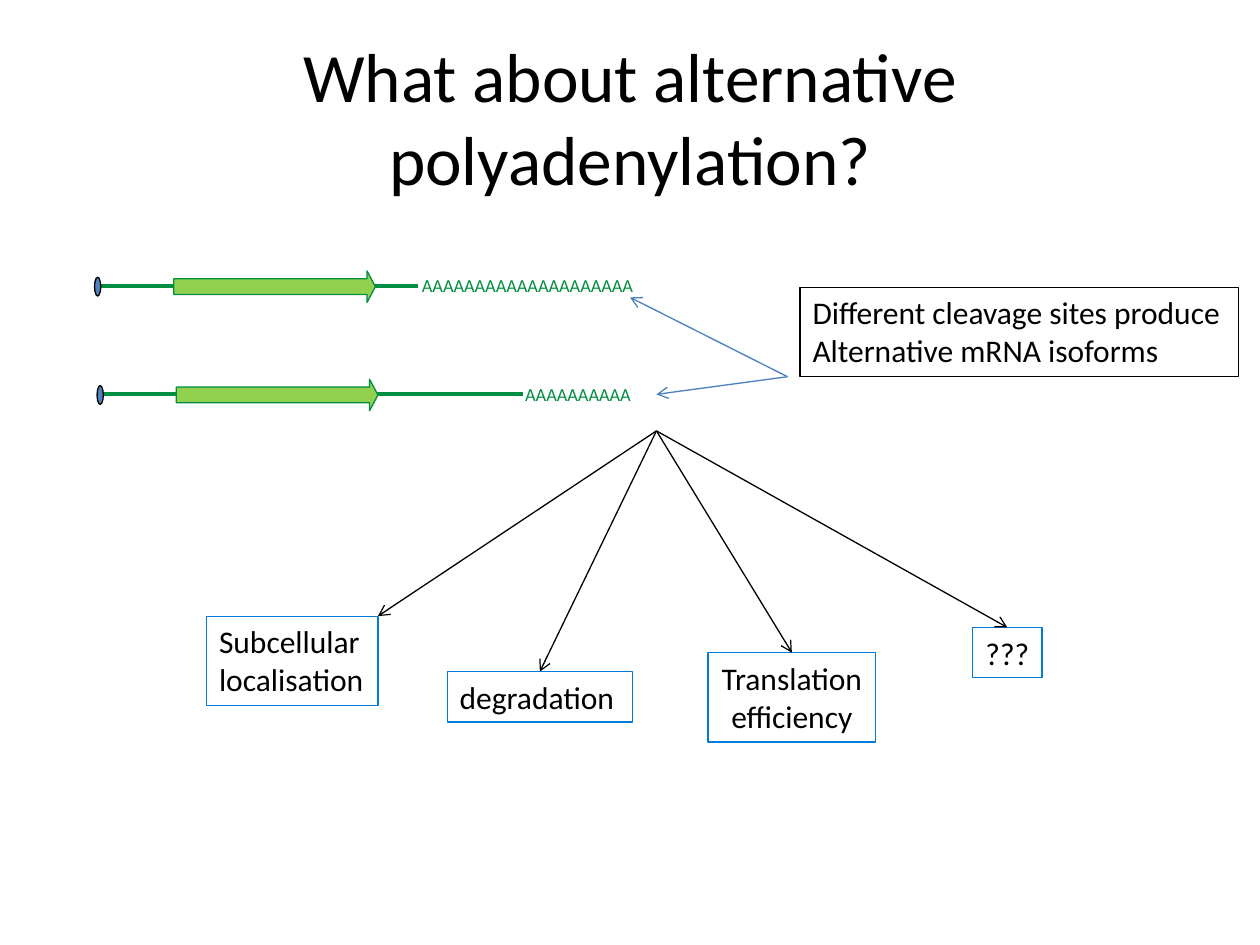
"""Build the slide on alternative polyadenylation and its consequences."""
from lxml.etree import SubElement
from pptx import Presentation
from pptx.dml.color import RGBColor
from pptx.enum.shapes import MSO_CONNECTOR, MSO_SHAPE
from pptx.enum.text import MSO_ANCHOR, MSO_AUTO_SIZE, PP_ALIGN
from pptx.oxml.ns import qn
from pptx.util import Inches, Pt

COLORS = {
    "text": "000000",
    "utr": "008E40",
    "coding": "92D050",
    "cap": "4F81BD",
    "pointer": "4B7EBC",
    "outcome": "007DDA",
}


class SlideBuilder:
    """Hold the style and the current slide."""

    font = "Calibri"

    def __init__(self, prs):
        self.slide = prs.slides.add_slide(prs.slide_layouts[5])
        self.shapes = self.slide.shapes

    def rgb(self, name):
        return RGBColor.from_string(COLORS[name])

    def outline(self, sp, color, width=0.75):
        sp.line.color.rgb = self.rgb(color)
        sp.line.width = Pt(width)

    def fill_text(self, tf, lines, size, color="text", align=PP_ALIGN.LEFT):
        formats = {"name": self.font, "size": Pt(size)}
        for i, line in enumerate(lines):
            p = tf.add_paragraph() if i else tf.paragraphs[0]
            p.alignment = align
            r = p.add_run()
            r.text = line
            for key, value in formats.items():
                setattr(r.font, key, value)
            r.font.color.rgb = self.rgb(color)

    def title(self, text, box):
        sp = self.shapes.title
        sp.left, sp.top, sp.width, sp.height = map(Inches, box)
        tf = sp.text_frame
        layout = {
            "auto_size": MSO_AUTO_SIZE.NONE,
            "word_wrap": True,
            "vertical_anchor": MSO_ANCHOR.MIDDLE,
        }
        for key, value in layout.items():
            setattr(tf, key, value)
        self.fill_text(tf, [text], 39.6, align=PP_ALIGN.CENTER)

    def text(self, lines, box, size=18, color="text", align=PP_ALIGN.LEFT, border=None):
        sp = self.shapes.add_textbox(*map(Inches, box))
        tf = sp.text_frame
        centered = align == PP_ALIGN.CENTER
        layout = {
            "word_wrap": True,
            "margin_left": Inches(0.05 if centered else 0.1),
            "margin_right": Inches(0.05 if centered else 0),
        }
        for key, value in layout.items():
            setattr(tf, key, value)
        self.fill_text(tf, lines, size, color, align)
        if border:
            self.outline(sp, border)
        return sp

    def shape(self, kind, box, fill, line):
        sp = self.shapes.add_shape(kind, *map(Inches, box))
        sp.shadow.inherit = False
        sp.fill.solid()
        sp.fill.fore_color.rgb = self.rgb(fill)
        self.outline(sp, line)
        return sp

    def line(self, start, end, color, width=0.75, arrow=False, target=None):
        sp = self.shapes.add_connector(
            MSO_CONNECTOR.STRAIGHT, *map(Inches, (*start, *end))
        )
        self.outline(sp, color, width)
        props = sp.element.spPr
        if arrow:
            SubElement(props.find(qn("a:ln")), qn("a:tailEnd"), type="arrow")
        SubElement(props, qn("a:effectLst"))
        if target is not None:
            sp.end_connect(target, 0)

    def transcript(self, left, y, end, tail, tail_box):
        self.line((left, y), (end, y), "utr", 2.25)
        coding = self.shape(
            MSO_SHAPE.RIGHT_ARROW, (left + 0.63, y - 0.12, 1.6, 0.25), "coding", "utr"
        )
        coding.adjustments[1] = 0.265
        self.shape(MSO_SHAPE.OVAL, (left, y - 0.07, 0.05, 0.15), "cap", "text")
        x, width = tail_box
        self.text([tail], (x, y - 0.14, width, 0.28), 10.5, "utr")


def main():
    prs = Presentation()
    prs.slide_width, prs.slide_height = Inches(10), Inches(7.5)
    s = SlideBuilder(prs)
    s.title("What about alternative polyadenylation?", (0.5, 0.3, 9, 1.25))

    s.transcript(0.75, 2.27, 3.32, "A" * 20, (3.25, 2.12))
    s.transcript(0.77, 3.13, 4.15, "A" * 10, (4.07, 1.14))

    for tip in ((5, 2.36), (5.21, 3.13)):
        s.line((6.25, 2.99), tip, "pointer", arrow=True)
    s.text(
        ["Different cleavage sites produce", "Alternative mRNA isoforms"],
        (6.35, 2.28, 3.48, 0.71),
        border="text",
    )

    left, center = PP_ALIGN.LEFT, PP_ALIGN.CENTER
    outcomes = [
        (["Subcellular", "localisation"], (1.64, 4.89, 1.36, 0.71), left, (3, 4.89)),
        (["degradation"], (3.55, 5.33, 1.47, 0.4), left, None),
        (["Translation", "efficiency"], (5.62, 5.18, 1.33, 0.71), center, None),
        (["???"], (7.72, 4.98, 0.55, 0.4), center, None),
    ]
    hub = (5.21, 3.42)
    for lines, box, align, corner in outcomes:
        sp = s.text(lines, box, align=align, border="outcome")
        end = corner or (box[0] + box[2] / 2, box[1])
        s.line(hub, end, "text", arrow=True, target=None if corner else sp)

    prs.save("out.pptx")


if __name__ == "__main__":
    main()
